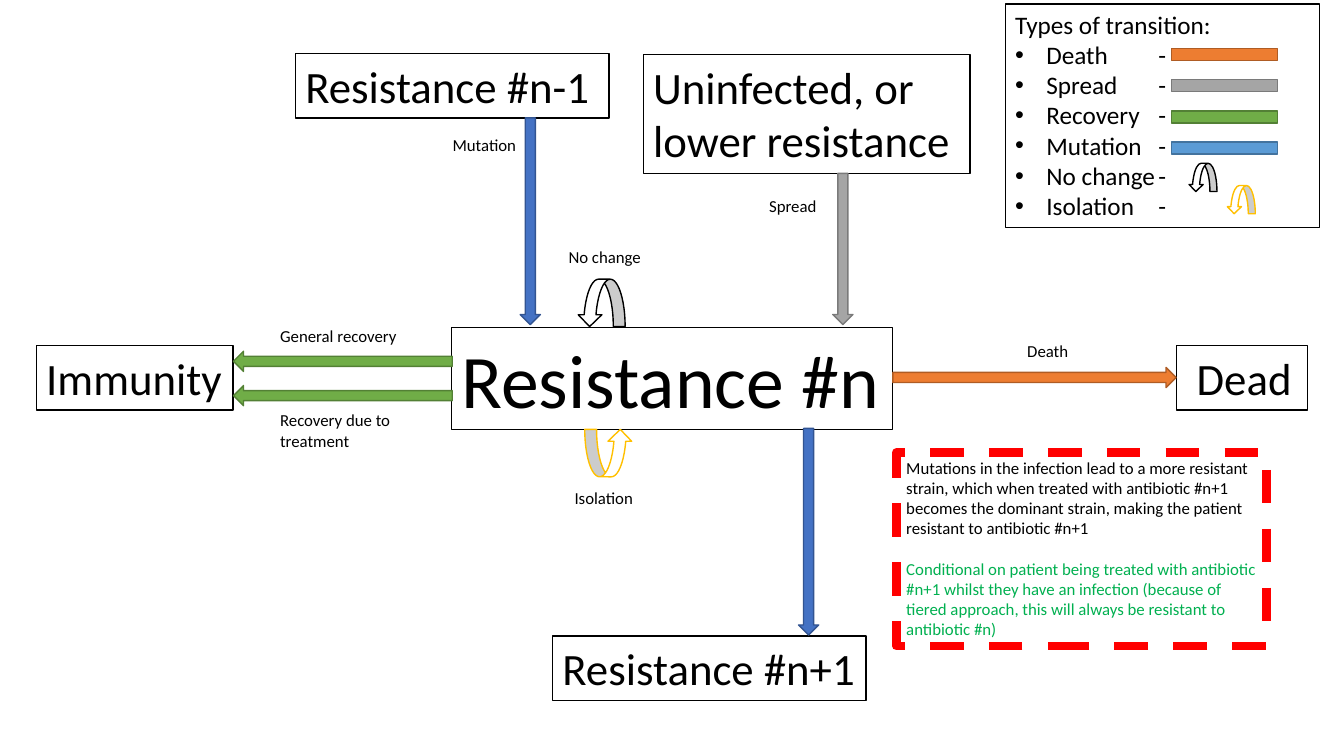
from lxml import etree
from pptx import Presentation
from pptx.dml.color import RGBColor
from pptx.enum.dml import MSO_LINE
from pptx.enum.shapes import MSO_SHAPE
from pptx.enum.text import MSO_ANCHOR, MSO_AUTO_SIZE, PP_ALIGN
from pptx.oxml.ns import qn
from pptx.util import Pt

EMU_PER_PX = 9144
RECTANGLE = MSO_SHAPE.RECTANGLE
DOWN_ARROW = MSO_SHAPE.DOWN_ARROW
LOOP_ARROW = MSO_SHAPE.CURVED_RIGHT_ARROW
DASH = MSO_LINE.DASH
LEFT = PP_ALIGN.LEFT
FRAME_FORMAT = {
    "word_wrap": True,
    "vertical_anchor": MSO_ANCHOR.TOP,
    "auto_size": MSO_AUTO_SIZE.SHAPE_TO_FIT_TEXT,
}

WHITE = RGBColor(0xFF, 0xFF, 0xFF)
BLACK = RGBColor(0x00, 0x00, 0x00)
RED = RGBColor(0xFF, 0x00, 0x00)
GOLD = RGBColor(0xFF, 0xC0, 0x00)
NOTE_GREEN = RGBColor(0x00, 0xB0, 0x50)
DEATH = (RGBColor(0xED, 0x7D, 0x31), RGBColor(0xAF, 0x5C, 0x24))
SPREAD = (RGBColor(0xA5, 0xA5, 0xA5), RGBColor(0x7A, 0x7A, 0x7A))
RECOVERY = (RGBColor(0x70, 0xAD, 0x47), RGBColor(0x53, 0x80, 0x35))
MUTATION = (RGBColor(0x44, 0x72, 0xC4), RGBColor(0x32, 0x54, 0x91))
MUTATION_KEY = (RGBColor(0x5B, 0x9B, 0xD5), RGBColor(0x43, 0x73, 0x9E))
NO_CHANGE = (WHITE, BLACK)
ISOLATION = (WHITE, GOLD)

STATES = [
    ("Resistance #n", 54, (448, 325, 437, 101)),
    ("Resistance #n+1", 32, (548, 631, 311, 64)),
    ("Resistance #n-1", 32, (293, 53, 311, 64)),
    (" Dead", 32, (1167, 343, 130, 64)),
    ("Immunity", 32, (36, 343, 195, 64)),
    ("Uninfected, or lower resistance", 32, (638, 54, 324, 118)),
]
TRANSITIONS = [
    (DOWN_ARROW, MUTATION, (516, 117, 20, 205), 0),
    (DOWN_ARROW, MUTATION, (792, 425, 20, 205), 0),
    (LOOP_ARROW, NO_CHANGE, (573, 277, 47, 47), 90),
    (DOWN_ARROW, DEATH, (1016, 234, 20, 281), 270),
    (DOWN_ARROW, RECOVERY, (330, 250, 20, 217), 90),
    (DOWN_ARROW, RECOVERY, (330, 284, 20, 217), 90),
    (DOWN_ARROW, SPREAD, (826, 172, 20, 150), 0),
    (LOOP_ARROW, ISOLATION, (580, 426, 47, 47), 270),
]
LABELS = [
    ("General recovery", (268, 318, 145, 30)),
    ("Recovery due to treatment", (268, 402, 145, 50)),
    ("Death", (1009, 333, 63, 30)),
    ("No change", (554, 240, 92, 30)),
    ("Mutation", (439, 129, 92, 30)),
    ("Spread", (753, 189, 92, 30)),
    ("Isolation", (560, 479, 93, 30)),
]
LEGEND_ENTRIES = ["Death", "Spread", "Recovery", "Mutation", "No change", "Isolation"]
LEGEND_BARS = [DEATH, SPREAD, RECOVERY, MUTATION_KEY]
LEGEND_LOOPS = [(NO_CHANGE, (1179, 162, 28, 28)), (ISOLATION, (1217, 184, 28, 28))]
RESISTANCE_NOTE = (
    "Mutations in the infection lead to a more resistant strain, which when "
    "treated with antibiotic #n+1 becomes the dominant strain, making the "
    "patient resistant to antibiotic #n+1"
)
CONDITION_NOTE = (
    "Conditional on patient being treated with antibiotic #n+1 whilst they have "
    "an infection (because of tiered approach, this will always be resistant to "
    "antibiotic #n)"
)


def emu(*lengths):
    """Turn px lengths into EMU."""
    return [length * EMU_PER_PX for length in lengths]


def apply_format(target, values):
    """Set each attribute named in a dict of format values."""
    for name, value in values.items():
        setattr(target, name, value)


def add_figure(slide, kind, box, colors, rotation=0, line_format=None):
    """Add a preset shape with a (fill, line) colour pair."""
    shape = slide.shapes.add_shape(kind, *emu(*box))
    shape.shadow.inherit = False
    shape.rotation = rotation
    fill, outline = colors
    if fill is None:
        shape.fill.background()
    else:
        shape.fill.solid()
        shape.fill.fore_color.rgb = fill
    shape.line.color.rgb = outline
    apply_format(shape.line, line_format or {"width": Pt(1)})
    return shape


def write_text(shape, lines, size):
    """Write (text, colour) lines as paragraphs and return the paragraphs."""
    frame = shape.text_frame
    apply_format(frame, FRAME_FORMAT)
    paragraphs = []
    for index, (text, color) in enumerate(lines):
        paragraph = frame.add_paragraph() if index else frame.paragraphs[0]
        paragraph.alignment = LEFT
        run = paragraph.add_run()
        run.text = text
        apply_format(run.font, {"name": "Calibri", "size": Pt(size)})
        run.font.color.rgb = color
        paragraphs.append(paragraph)
    return paragraphs


def add_state(slide, text, size, box):
    """Add a white box naming a patient state."""
    write_text(add_figure(slide, RECTANGLE, box, NO_CHANGE), [(text, BLACK)], size)


def add_label(slide, text, box):
    """Add a small caption beside a transition."""
    write_text(slide.shapes.add_textbox(*emu(*box)), [(text, BLACK)], 12)


def add_note(slide):
    """Add the dashed red note on resistance."""
    dashes = {"width": Pt(6), "dash_style": DASH}
    note = add_figure(slide, RECTANGLE, (889, 449, 367, 192), (None, RED), 0, dashes)
    lines = [(RESISTANCE_NOTE, BLACK), (CONDITION_NOTE, NOTE_GREEN)]
    write_text(note, lines, 12)[1].space_before = Pt(14.5)


def add_bullet(paragraph, indent, tab):
    """Give a paragraph a hanging bullet and one tab stop."""
    properties = paragraph._p.get_or_add_pPr()
    indent, tab = emu(indent, tab)
    properties.set("marL", str(indent))
    properties.set("indent", str(-indent))
    etree.SubElement(properties, qn("a:buFont"), typeface="Arial")
    etree.SubElement(properties, qn("a:buChar"), char="•")
    stops = etree.SubElement(properties, qn("a:tabLst"))
    etree.SubElement(stops, qn("a:tab"), pos=str(tab), algn="l")


def add_legend(slide):
    """Add the key to the types of transition."""
    legend = add_figure(slide, RECTANGLE, (997, 4, 312, 222), NO_CHANGE)
    lines = [("Types of transition:", BLACK)]
    lines += [(f"{entry}\t-", BLACK) for entry in LEGEND_ENTRIES]
    for paragraph in write_text(legend, lines, 18)[1:]:
        add_bullet(paragraph, 31, 142)
    for row, colors in enumerate(LEGEND_BARS):
        add_figure(slide, RECTANGLE, (1162, 48 + 31 * row, 105, 12), colors)
    for colors, box in LEGEND_LOOPS:
        add_figure(slide, LOOP_ARROW, box, colors, 90)


def main():
    """Build the resistance transition slide and save it."""
    presentation = Presentation()
    size = emu(1333, 750)
    apply_format(presentation, dict(zip(("slide_width", "slide_height"), size)))
    slide = presentation.slides.add_slide(presentation.slide_layouts[6])
    for text, font_size, box in STATES:
        add_state(slide, text, font_size, box)
    for kind, colors, box, rotation in TRANSITIONS:
        add_figure(slide, kind, box, colors, rotation)
    for text, box in LABELS:
        add_label(slide, text, box)
    add_note(slide)
    add_legend(slide)
    presentation.save("out.pptx")


if __name__ == "__main__":
    main()
